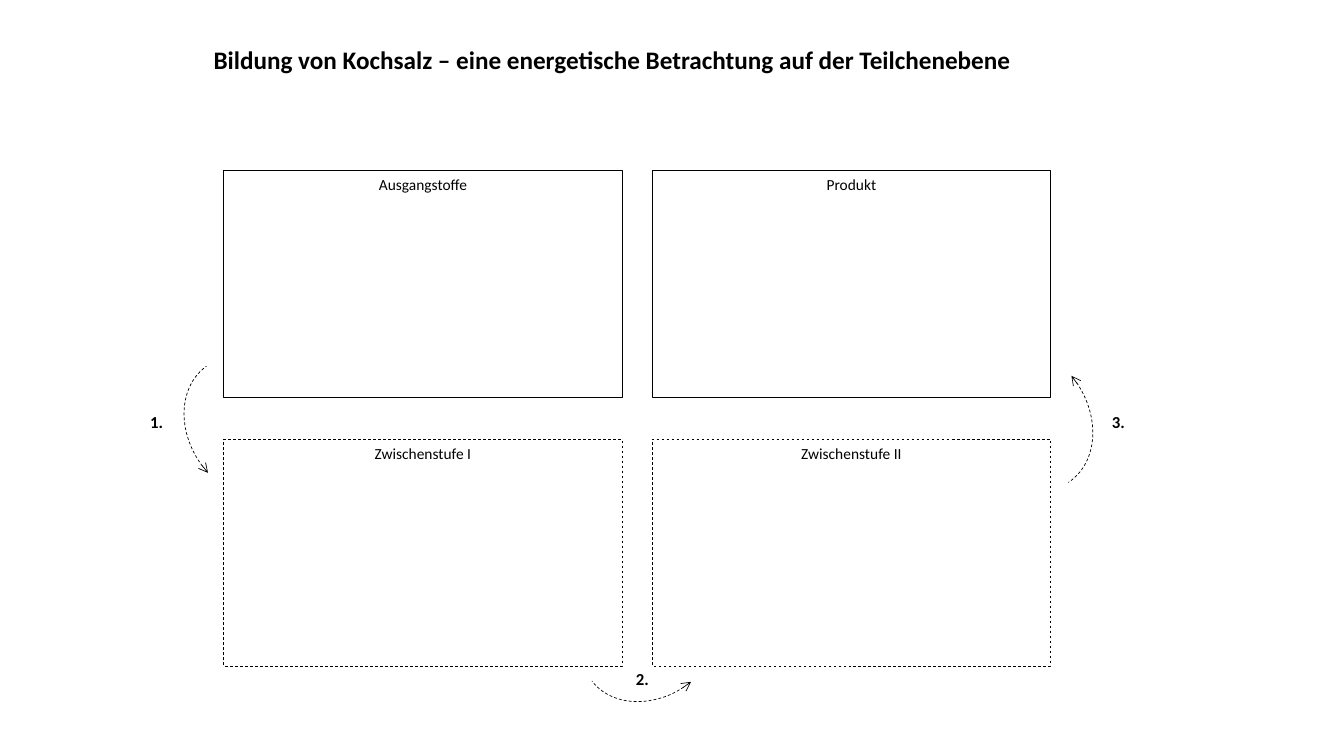
from lxml import etree
from pptx import Presentation
from pptx.dml.color import RGBColor
from pptx.enum import dml, shapes, text
from pptx.oxml.ns import qn
from pptx.util import Inches, Pt

COLOURS = {"ink": "000000", "paper": "FFFFFF"}
FONT = "Calibri"
TITLE = "Bildung von Kochsalz – eine energetische Betrachtung auf der Teilchenebene"
STAGES = [
    ["Ausgangstoffe", "Produkt"],
    ["Zwischenstufe I", "Zwischenstufe II"],
]
ROW_DASHES = [None, dml.MSO_LINE.DASH]
STEPS = [
    {"label": "1.", "label_at": (1.39, 4.04), "arc_at": (1.73, 3.64), "turn": 234.3, "start": 155.93},
    {"label": "2.", "label_at": (6.21, 6.58), "arc_at": (5.71, 5.68), "turn": 142, "start": 161.45},
    {"label": "3.", "label_at": (10.93, 4.04), "arc_at": (9.42, 3.54), "turn": 56.8, "start": 155.93},
]
GRID_LEFT, GRID_TOP = 2.22, 1.69
STAGE_WIDTH, STAGE_HEIGHT = 3.95, 2.25
GAP_X, GAP_Y = 0.3, 0.42
ARC_WIDTH, ARC_HEIGHT = 1.52, 1.22


def colour(name):
    return RGBColor.from_string(COLOURS[name])


def write(box, wording, size, bold=False, align=text.PP_ALIGN.LEFT):
    frame = box.text_frame
    frame.word_wrap = True
    frame.vertical_anchor = text.MSO_ANCHOR.TOP
    para = frame.paragraphs[0]
    para.alignment = align
    span = para.add_run()
    span.text = wording
    span.font.name = FONT
    span.font.size = Pt(size)
    span.font.bold = bold
    span.font.color.rgb = colour("ink")


def add_text(page, wording, left, top, width, height, size):
    box = page.shapes.add_textbox(Inches(left), Inches(top), Inches(width), Inches(height))
    write(box, wording, size, bold=True)
    return box


def add_outline(page, kind, left, top, width, height, dash):
    shape = page.shapes.add_shape(kind, Inches(left), Inches(top), Inches(width), Inches(height))
    shape.shadow.inherit = False
    shape.line.color.rgb = colour("ink")
    shape.line.width = Pt(0.5)
    if dash:
        shape.line.dash_style = dash
    return shape


def add_stage(page, wording, row, column):
    left = GRID_LEFT + column * (STAGE_WIDTH + GAP_X)
    top = GRID_TOP + row * (STAGE_HEIGHT + GAP_Y)
    stage = add_outline(page, shapes.MSO_SHAPE.RECTANGLE, left, top,
                        STAGE_WIDTH, STAGE_HEIGHT, ROW_DASHES[row])
    stage.fill.solid()
    stage.fill.fore_color.rgb = colour("paper")
    write(stage, wording, 11, align=text.PP_ALIGN.CENTER)


def add_step(page, step):
    arc = add_outline(page, shapes.MSO_SHAPE.ARC, *step["arc_at"],
                      ARC_WIDTH, ARC_HEIGHT, dml.MSO_LINE.DASH)
    arc.fill.background()
    arc.rotation = step["turn"]
    arc.adjustments[0] = step["start"]
    arc.adjustments[1] = 0
    outline = arc.element.spPr.find(qn("a:ln"))
    etree.SubElement(outline, qn("a:headEnd"), type="arrow")
    add_text(page, step["label"], *step["label_at"], 0.36, 0.32, 12)


def main():
    deck = Presentation()
    deck.slide_width, deck.slide_height = Inches(13.33), Inches(7.5)
    page = deck.slides.add_slide(deck.slide_layouts[6])
    for row, names in enumerate(STAGES):
        for column, name in enumerate(names):
            add_stage(page, name, row, column)
    for step in STEPS:
        add_step(page, step)
    title = add_text(page, TITLE, 2.02, 0.39, 9.29, 0.4, 18)
    title.text_frame.auto_size = text.MSO_AUTO_SIZE.SHAPE_TO_FIT_TEXT
    deck.save("out.pptx")


if __name__ == "__main__":
    main()
